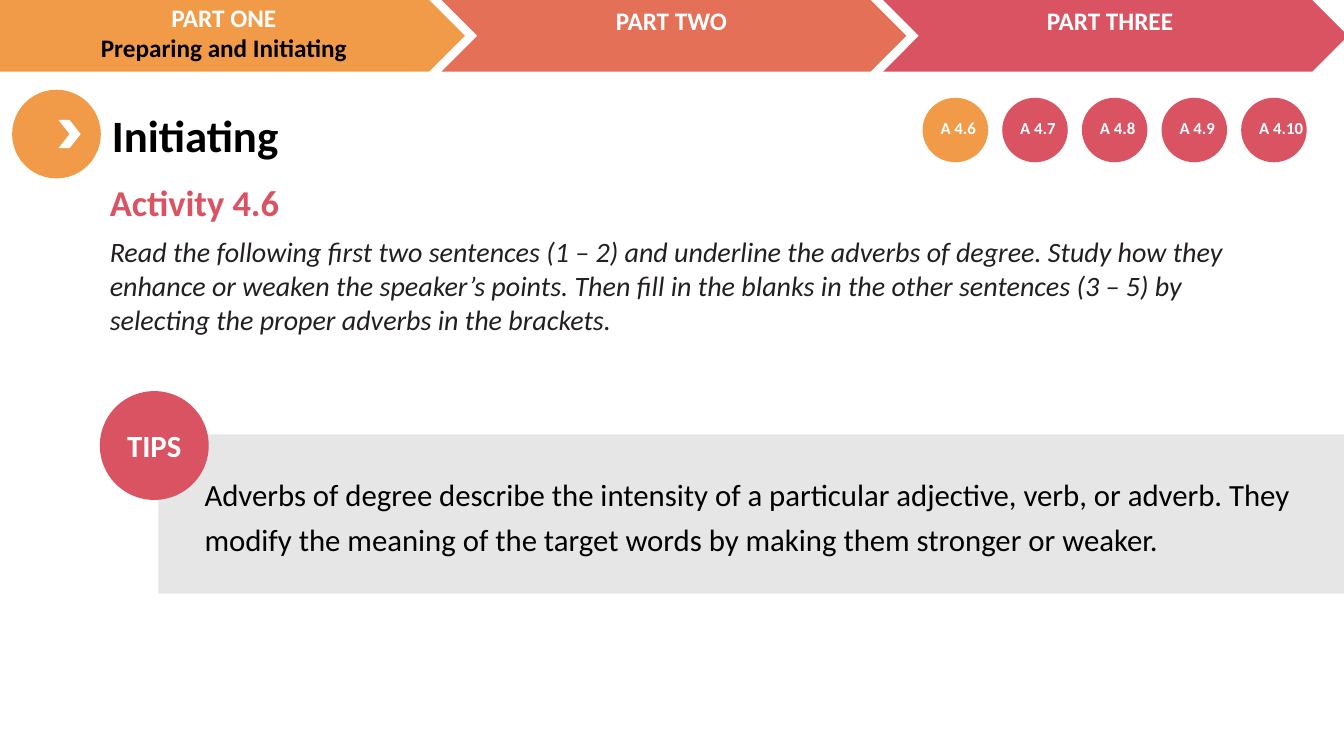
from dataclasses import dataclass

from pptx import Presentation
from pptx.dml.color import RGBColor
from pptx.enum.shapes import MSO_SHAPE
from pptx.enum.text import MSO_ANCHOR, MSO_AUTO_SIZE, PP_ALIGN
from pptx.util import Emu, Pt

CHEVRON, OVAL, RECT = MSO_SHAPE.CHEVRON, MSO_SHAPE.OVAL, MSO_SHAPE.RECTANGLE
LEFT, CENTER = PP_ALIGN.LEFT, PP_ALIGN.CENTER
TOP, MIDDLE = MSO_ANCHOR.TOP, MSO_ANCHOR.MIDDLE
NO_FIT = MSO_AUTO_SIZE.NONE
EMU_PER_PX = 9144


@dataclass(frozen=True)
class Theme:
    """Colours, font and type sizes of the slide."""
    font: str = "Calibri"
    orange: str = "F19B48"
    coral: str = "E47057"
    red: str = "DA5362"
    gray: str = "E7E6E6"
    white: str = "FFFFFF"
    black: str = "000000"
    ink: str = "231F20"
    title: int = 32
    heading: int = 26
    tip: int = 22
    body: int = 20
    banner: int = 18
    badge: int = 12


THEME = Theme()


def px(*lengths):
    """Turn px lengths into EMU."""
    return [Emu(n * EMU_PER_PX) for n in lengths]


def write(shape, *lines, size, color=THEME.black, bold=False, italic=False,
          align=LEFT, anchor=TOP, spacing=None):
    """Fill a shape with one paragraph per line; a line may be (text, color)."""
    tf = shape.text_frame
    tf.word_wrap = True
    tf.auto_size = NO_FIT
    tf.vertical_anchor = anchor
    for i, line in enumerate(lines):
        text, ink = (line, color) if isinstance(line, str) else line
        p = tf.add_paragraph() if i else tf.paragraphs[0]
        p.alignment = align
        p.line_spacing = spacing
        r = p.add_run()
        r.text = text
        r.font.name, r.font.size = THEME.font, Pt(size)
        r.font.bold, r.font.italic = bold, italic
        r.font.color.rgb = RGBColor.from_string(ink)


def add_text(shapes, box, *lines, **fmt):
    """Add a text box at the given box."""
    write(shapes.add_textbox(*px(*box)), *lines, **fmt)


def add_solid(shapes, kind, box, color):
    """Add a flat preset shape without outline or shadow."""
    sp = shapes.add_shape(kind, *px(*box))
    sp.shadow.inherit = False
    sp.fill.solid()
    sp.fill.fore_color.rgb = RGBColor.from_string(color)
    sp.line.fill.background()
    return sp


def add_banner(s, box, color, label_box, *lines):
    """Add one part of the top banner with its label."""
    add_solid(s.shapes, CHEVRON, box, color)
    add_text(s.shapes, label_box, *lines, size=THEME.banner,
             color=THEME.white, bold=True, align=CENTER)


def add_title(s, box, text):
    """Place the title and the round marker to its left."""
    x, y, w, h = box
    add_solid(s.shapes, OVAL, (x, y, 88, 88), THEME.orange)
    add_solid(s.shapes, CHEVRON, (x + 46, y + 30, 22, 28), THEME.white)
    title = s.shapes.title
    title.left, title.top, title.width, title.height = px(
        x + 89, y + 13, w - 89, h - 24)
    write(title, text, size=THEME.title, bold=True)


def add_badges(s, box, labels, pitch=79):
    """Add a row of activity badges, the current one first."""
    x, y, w, h = box
    for i, label in enumerate(labels):
        left = x + i * pitch
        shapes = s.shapes.add_group_shape().shapes
        add_solid(shapes, OVAL, (left, y, w, h),
                  THEME.red if i else THEME.orange)
        add_text(shapes, (left + 8, y + 15, 79, 30), label,
                 size=THEME.badge, color=THEME.white, bold=True)


def add_activity(s, box, heading, *lines):
    """Add the activity heading with its instructions below."""
    x, y, w, h = box
    add_text(s.shapes, (x, y, w, 54), heading, size=THEME.heading,
             color=THEME.red, bold=True)
    add_text(s.shapes, (x, y + 54, w, h - 54), *lines, size=THEME.body,
             color=THEME.ink, italic=True)


def add_tips(s, box, label, text):
    """Add the tip panel with its round label at the top left corner."""
    x, y, w, h = box
    add_solid(s.shapes, RECT, box, THEME.gray)
    add_text(s.shapes, (x + 36, y + 29, 1135, h - 62), text,
             size=THEME.tip, spacing=1.2)
    tag = add_solid(s.shapes, OVAL, (x - 58, y - 43, 108, 108), THEME.red)
    write(tag, label, size=THEME.tip, color=THEME.white, bold=True,
          align=CENTER, anchor=MIDDLE)


def main():
    """Build and save the slide."""
    prs = Presentation()
    prs.slide_width, prs.slide_height = px(1333, 750)
    s = prs.slides.add_slide(prs.slide_layouts[5])
    add_title(s, (12, 89, 574, 88), "Initiating")
    add_banner(s, (438, 0, 461, 71), THEME.coral, (438, 0, 456, 71),
               "PART TWO")
    add_banner(s, (876, 0, 461, 71), THEME.red, (873, 0, 456, 40),
               "PART THREE")
    add_banner(s, (-61, 0, 522, 71), THEME.orange, (-6, -3, 456, 71),
               "PART ONE", ("Preparing and Initiating", THEME.black))
    add_activity(
        s, (99, 174, 1185, 165), "Activity 4.6",
        "Read the following first two sentences (1 – 2) and underline the adverbs of degree. Study how they",
        "enhance or weaken the speaker’s points. Then fill in the blanks in the other sentences (3 – 5) by",
        "selecting the proper adverbs in the brackets.")
    add_tips(
        s, (157, 431, 1226, 158), "TIPS",
        "Adverbs of degree describe the intensity of a particular adjective, verb, or adverb. "
        "They modify the meaning of the target words by making them stronger or weaker.")
    add_badges(s, (915, 97, 65, 64), [f"A 4.{n}" for n in range(6, 11)])
    prs.save("out.pptx")


if __name__ == "__main__":
    main()
